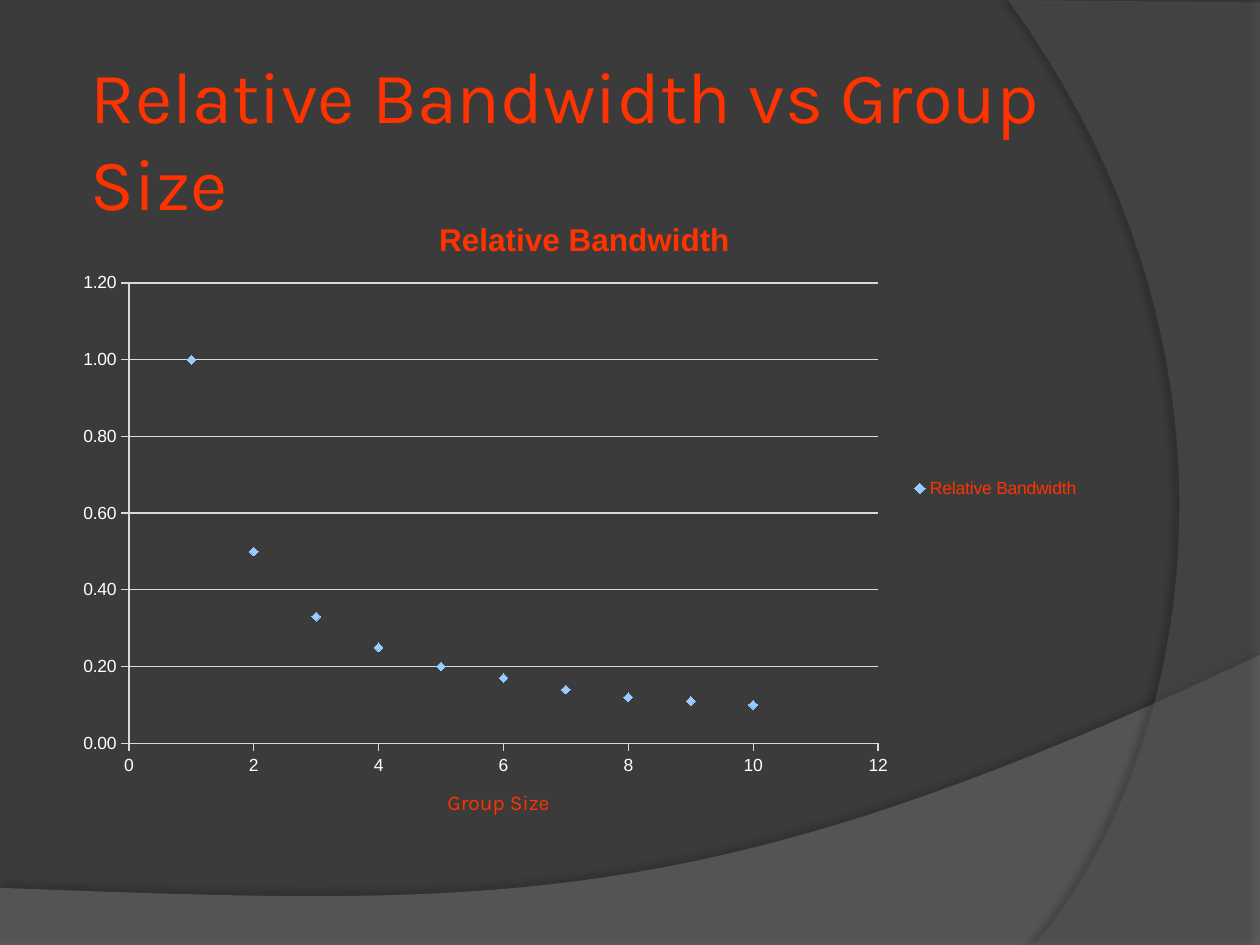
from lxml.etree import SubElement
from pptx import Presentation
from pptx.chart.data import XyChartData
from pptx.dml.color import RGBColor
from pptx.enum.chart import XL_CHART_TYPE as ChartType, XL_LEGEND_POSITION as LegendPosition
from pptx.enum.chart import XL_MARKER_STYLE as MarkerStyle, XL_TICK_MARK as TickMark
from pptx.enum.text import MSO_ANCHOR as Anchor, MSO_AUTO_SIZE as AutoSize, PP_ALIGN as Align
from pptx.oxml import parse_xml
from pptx.oxml.ns import nsdecls, qn
from pptx.util import Cm, Pt

BACKGROUND, ACCENT, WHITE = "3B3B3B", "FF3300", "FFFFFF"
GRID, MARKER = "D9D9D9", "99CCFF"
GROUP_SIZES = range(1, 11)
CURVE_STEPS = 40


def color(hex_value):
    return RGBColor.from_string(hex_value)


def set_attributes(target, values):
    for name, value in values.items():
        setattr(target, name, value)


def style_font(font, hex_value, **values):
    set_attributes(font, values)
    font.color.rgb = color(hex_value)


def bezier(start, control_1, control_2, end):
    """Points along a cubic curve, without its start point."""
    points = []
    for step in range(1, CURVE_STEPS + 1):
        t = step / CURVE_STEPS
        weights = ((1 - t) ** 3, 3 * t * (1 - t) ** 2, 3 * t ** 2 * (1 - t), t ** 3)
        points.append(tuple(
            sum(weight * value for weight, value in zip(weights, values))
            for values in zip(start, control_1, control_2, end)))
    return points


def add_wave(slide, points, fill, opacity, shadow_opacity, distance, direction):
    """Translucent outline with a soft shadow; points are in cm."""
    builder = slide.shapes.build_freeform(
        Cm(points[0][0]), Cm(points[0][1]), scale=1.0)
    builder.add_line_segments([(Cm(x), Cm(y)) for x, y in points[1:]], close=True)
    shape = builder.convert_to_shape()
    shape.fill.solid()
    shape.fill.fore_color.rgb = color(fill)
    shape.line.fill.background()
    fill_color = shape.element.spPr.find(f"{qn('a:solidFill')}/{qn('a:srgbClr')}")
    SubElement(fill_color, qn("a:alpha"), val=str(opacity * 1000))
    shape.element.spPr.append(parse_xml(
        f'<a:effectLst {nsdecls("a")}><a:outerShdw blurRad="{Pt(4)}" '
        f'dist="{Pt(distance)}" dir="{direction * 60000}" algn="ctr" rotWithShape="0">'
        f'<a:srgbClr val="000000"><a:alpha val="{shadow_opacity * 1000}"/></a:srgbClr>'
        '</a:outerShdw></a:effectLst>'))


def format_text(shape, text, size):
    frame = shape.text_frame
    margin = Cm(0.13)
    set_attributes(frame, {
        "word_wrap": True, "auto_size": AutoSize.NONE, "vertical_anchor": Anchor.MIDDLE,
        "margin_left": margin, "margin_right": margin,
        "margin_top": margin, "margin_bottom": margin})
    paragraph = frame.paragraphs[0]
    paragraph.alignment = Align.LEFT
    run = paragraph.add_run()
    run.text = text
    style_font(run.font, ACCENT, size=Pt(size), name="Karla")


def set_layout(parent, before, **fractions):
    """Manual layout of a chart part, placed ahead of the named sibling."""
    modes = '<c:layoutTarget val="inner"/>' if "w" in fractions else ""
    modes += '<c:xMode val="edge"/><c:yMode val="edge"/>'
    values = "".join(f'<c:{key} val="{value}"/>' for key, value in fractions.items())
    for old in parent.findall(qn("c:layout")):
        parent.remove(old)
    parent.find(qn(before)).addprevious(parse_xml(
        f'<c:layout {nsdecls("c")}><c:manualLayout>{modes}{values}'
        '</c:manualLayout></c:layout>'))


def format_axis(axis, maximum, unit, number_format, gridlines):
    set_attributes(axis, {
        "minimum_scale": 0, "maximum_scale": maximum, "major_unit": unit,
        "major_tick_mark": TickMark.OUTSIDE, "minor_tick_mark": TickMark.NONE,
        "has_major_gridlines": gridlines, "has_title": False})
    set_attributes(axis.tick_labels, {
        "number_format": number_format, "number_format_is_linked": False})
    style_font(axis.tick_labels.font, WHITE, size=Pt(10), name="Arial")
    lines = [axis.format.line]
    if gridlines:
        lines.append(axis.major_gridlines.format.line)
    for line in lines:
        line.color.rgb = color(GRID)
        line.width = Pt(0.75)


def add_bandwidth_chart(slide):
    data = XyChartData()
    points = data.add_series("Relative Bandwidth")
    for group_size in GROUP_SIZES:
        points.add_data_point(group_size, round(1 / group_size, 2))
    frame = slide.shapes.add_chart(
        ChartType.XY_SCATTER, Cm(1.27), Cm(3.81), Cm(20.75), Cm(12.07), data)
    chart = frame.chart
    style_font(chart.font, WHITE, size=Pt(10), name="Arial")

    # Heading and legend
    chart.has_title = True
    title = chart.chart_title
    title.include_in_layout = False
    title.text_frame.text = "Relative Bandwidth"
    style_font(title.text_frame.paragraphs[0].runs[0].font, ACCENT,
               size=Pt(18), bold=True, name="Arial")
    set_layout(title.element, "c:overlay", x=0.36, y=0.04)
    chart.has_legend = True
    set_attributes(chart.legend, {
        "position": LegendPosition.RIGHT, "include_in_layout": False})
    style_font(chart.legend.font, ACCENT, size=Pt(10), name="Arial")

    # Axes and plot
    format_axis(chart.category_axis, 12, 2, "General", False)
    format_axis(chart.value_axis, 1.2, 0.2, "0.00", True)
    plot = chart.plots[0]
    plot.vary_by_categories = False
    set_layout(chart.element.find(f".//{qn('c:plotArea')}"), "c:scatterChart",
               x=0.064, y=0.157, w=0.728, h=0.769)

    # Markers only
    series = plot.series[0]
    series.format.line.fill.background()
    set_attributes(series.marker, {"style": MarkerStyle.DIAMOND, "size": 5})
    series.marker.format.fill.solid()
    series.marker.format.fill.fore_color.rgb = color(MARKER)
    series.marker.format.line.color.rgb = color(MARKER)
    return frame


def main():
    presentation = Presentation()
    set_attributes(presentation, {"slide_width": Cm(25.4), "slide_height": Cm(19.05)})
    slide = presentation.slides.add_slide(presentation.slide_layouts[5])
    slide.background.fill.solid()
    slide.background.fill.fore_color.rgb = color(BACKGROUND)

    # Background waves
    bottom_curve = bezier((25.4, 13.2), (14.2, 18.52), (9.93, 18.26), (0, 17.9))
    add_wave(slide, [(0, 17.9), (0, 19.07), (25.4, 19.07), (25.4, 13.2)]
             + bottom_curve[:-1], "7F7F7F", 45, 35, 3.5, 270)
    side_curve = bezier((20.85, 19.05), (23.75, 15.72), (25.86, 7.62), (20.32, 0))
    add_wave(slide, [(25.4, 0.05), (25.4, 19.05), (20.85, 19.05)]
             + side_curve, "5E5E5E", 40, 45, 4, 180)

    # Chart with its axis caption
    chart_frame = add_bandwidth_chart(slide)
    caption = slide.shapes.add_textbox(Cm(8.89), Cm(15.44), Cm(6.78), Cm(1.47))
    format_text(caption, "Group Size", 12)

    # Slide title, in front of the chart
    title = slide.shapes.title
    set_attributes(title, {
        "left": Cm(1.7), "top": Cm(1.19), "width": Cm(20.75), "height": Cm(3.18)})
    format_text(title, "Relative Bandwidth vs Group Size", 41.4)
    chart_frame.element.addnext(title.element)

    presentation.save("out.pptx")


if __name__ == "__main__":
    main()
